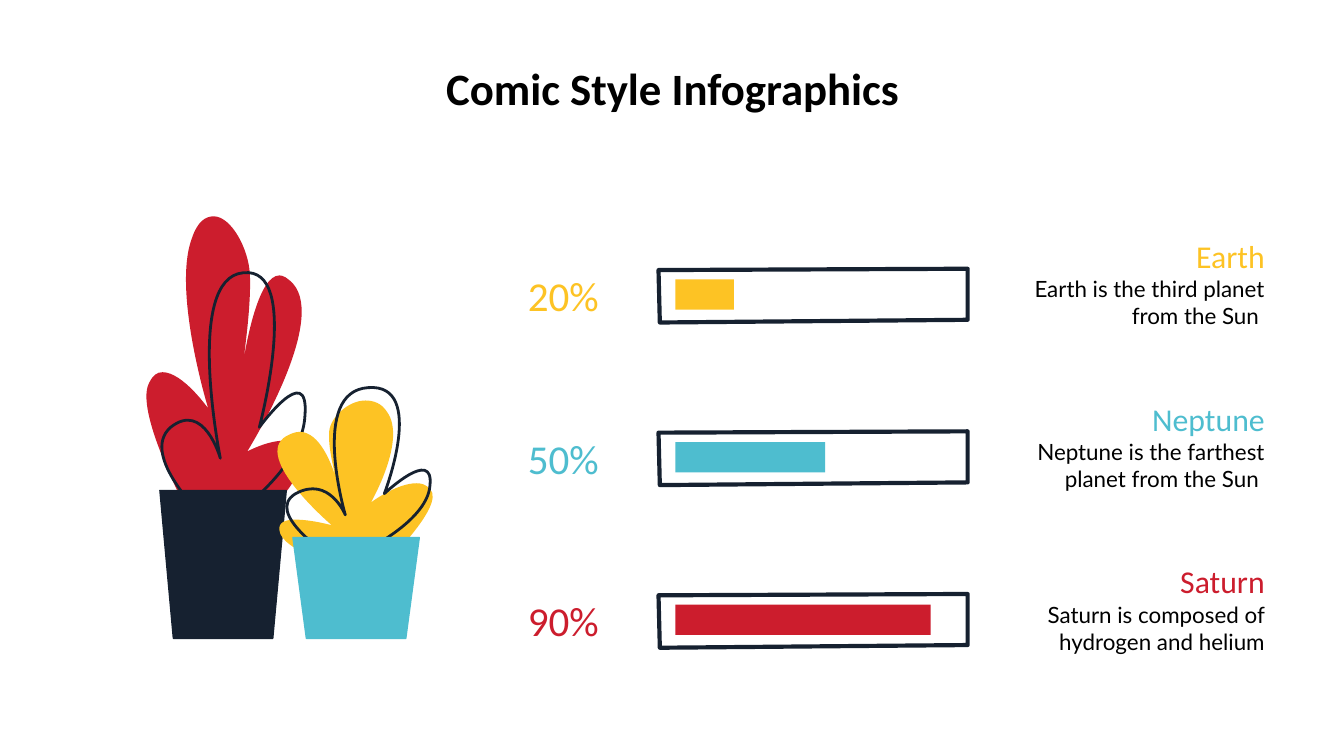
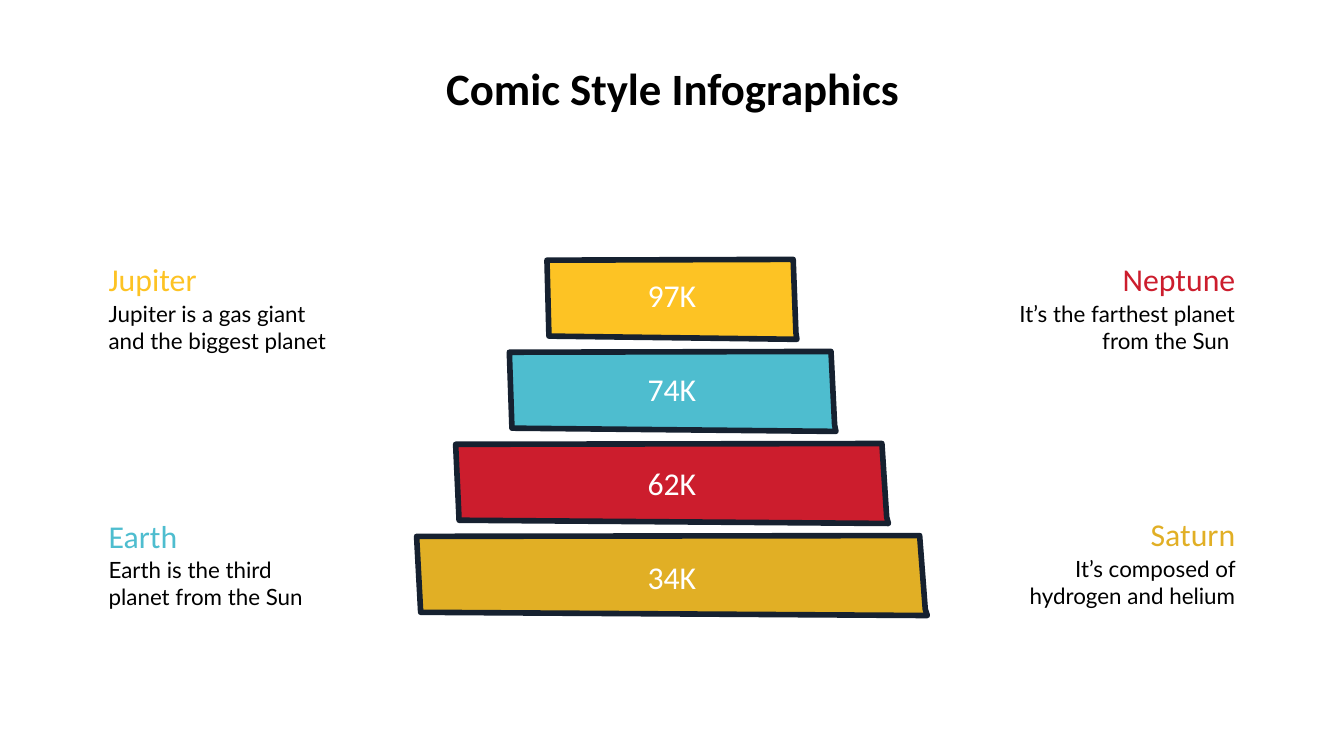
from dataclasses import dataclass

from lxml import etree
from pptx import Presentation
from pptx.dml.color import RGBColor
from pptx.enum.shapes import MSO_SHAPE
from pptx.enum.text import MSO_ANCHOR, MSO_AUTO_SIZE, PP_ALIGN
from pptx.oxml.ns import qn
from pptx.util import Emu, Inches, Pt

LEFT, CENTER, RIGHT = PP_ALIGN.LEFT, PP_ALIGN.CENTER, PP_ALIGN.RIGHT
MIDDLE = MSO_ANCHOR.MIDDLE
NO_FIT = MSO_AUTO_SIZE.NONE
RECTANGLE = MSO_SHAPE.RECTANGLE

CELL = Inches(0.1)
COLS, ROWS = 100, 56.25


@dataclass(frozen=True)
class Theme:
    """Colours, fonts and type sizes of the deck."""
    ink: str = "162130"
    black: str = "000000"
    white: str = "FFFFFF"
    yellow: str = "FDC324"
    gold: str = "E1AF25"
    blue: str = "4EBDCF"
    red: str = "CC1D2D"
    head_font: str = "Calibri"
    body_font: str = "Lato"
    title: int = 24
    percent: int = 22
    heading: int = 17
    body: int = 12


T = Theme()


@dataclass(frozen=True)
class Box:
    """A rectangle measured in columns and rows of the slide grid."""
    x: float
    y: float
    w: float
    h: float

    def inner(self, dx, dy, w, h):
        """Return a box placed from this box's top left corner."""
        return Box(self.x + dx, self.y + dy, w, h)

    def emu(self):
        """Return left, top, width and height as lengths."""
        return [Emu(round(v * CELL)) for v in (self.x, self.y, self.w, self.h)]


@dataclass(frozen=True)
class Outline:
    """A path on its own grid; a curved one lists Bezier points in threes."""
    size: tuple
    points: tuple
    curved: bool = False
    closed: bool = True


FRAME = Outline((230, 40), ((230, 0), (0, 1), (1, 40), (230, 38)))
TIER = Outline((100, 100), ((98.5, 0), (0, 1), (0.8, 96), (100, 100), (99.6, 92)))
LEAVES = Outline((146, 243), (
    (61, 0), (55, 0), (49, 4), (45, 16), (30, 55), (57, 143), (57, 143),
    (57, 143), (38, 116), (23, 116), (19, 116), (16, 118), (13, 124),
    (0, 148), (54, 243), (54, 243), (54, 243), (77, 236), (77, 236),
    (77, 236), (124, 210), (125, 182), (126, 170), (120, 167), (113, 167),
    (101, 167), (86, 175), (86, 175), (86, 175), (146, 79), (120, 50),
    (116, 46), (113, 44), (110, 44), (95, 44), (86, 90), (83, 109),
    (85, 94), (89, 63), (88, 43), (87, 24), (74, 0), (61, 0)), curved=True)
SKETCH = Outline((127, 188), (
    (50, 188), (50, 188), (0, 141), (24, 120), (49, 100), (61, 143), (61, 143),
    (61, 143), (34, 9), (78, 5), (122, 0), (90, 120), (90, 120),
    (90, 120), (127, 69), (124, 111), (122, 153), (67, 188), (67, 188)),
    curved=True, closed=False)
POT = Outline((94, 100), ((0, 0), (10, 100), (84, 100), (94, 0)))


def paint(sp, fill=None, line=None, width=0.75):
    """Set fill and line, leaving out whichever is not given."""
    sp.shadow.inherit = False
    if fill:
        sp.fill.solid()
        sp.fill.fore_color.rgb = RGBColor.from_string(fill)
    else:
        sp.fill.background()
    if line:
        sp.line.color.rgb = RGBColor.from_string(line)
        sp.line.width = Pt(width)
        ln = sp._element.spPr.find(qn("a:ln"))
        etree.SubElement(ln, qn("a:round"))
    else:
        sp.line.fill.background()


def bend(sp):
    """Join each three line steps of a freeform into one Bezier curve."""
    steps = list(sp._element.iter(qn("a:lnTo")))
    for i in range(0, len(steps) - 2, 3):
        curve = etree.Element(qn("a:cubicBezTo"))
        steps[i].addprevious(curve)
        for step in steps[i:i + 3]:
            curve.append(step[0])
            step.getparent().remove(step)


def draw(s, box, outline, mirror=False, **style):
    """Stretch an outline over a box and paint it."""
    left, top, width, height = box.emu()
    cols, rows = outline.size
    points = [(round(left + width * (cols - x if mirror else x) / cols),
               round(top + height * y / rows)) for x, y in outline.points]
    builder = s.shapes.build_freeform(*points[0])
    builder.add_line_segments(points[1:], close=outline.closed)
    sp = builder.convert_to_shape()
    if outline.curved:
        bend(sp)
    paint(sp, **style)


def write(sp, text, size, color, align=LEFT, font=T.head_font, bold=False):
    """Fill a shape with one paragraph of evenly set text."""
    tf = sp.text_frame
    tf.word_wrap = True
    tf.auto_size = NO_FIT
    tf.vertical_anchor = MIDDLE
    tf.margin_left = tf.margin_right = tf.margin_top = tf.margin_bottom = CELL
    p = tf.paragraphs[0]
    p.text = text
    p.alignment = align
    p.font.name, p.font.size, p.font.bold = font, Pt(size), bold
    p.font.color.rgb = RGBColor.from_string(color)


def label(s, box, *args, **kwargs):
    """Add a text box."""
    write(s.shapes.add_textbox(*box.emu()), *args, **kwargs)


def caption(s, box, heading, body, color, align):
    """Set a coloured heading over a short description."""
    label(s, box.inner(0, 0, box.w, 4.7), heading, T.heading, color, align)
    label(s, box.inner(0, box.h - 5.8, box.w, 5.8), body, T.body, T.black,
          align, T.body_font)


def titled_slide(prs, title):
    """Add a title-only slide with its title in place."""
    s = prs.slides.add_slide(prs.slide_layouts[5])
    sp = s.shapes.title
    sp.left, sp.top, sp.width, sp.height = Box(2, 3.4, 96.1, 6.3).emu()
    write(sp, title, T.title, T.black, CENTER, bold=True)
    return s


def gauge(s, box, percent, filled, color, heading, body):
    """Draw one row: percentage, framed bar and caption."""
    frame = box.inner(10.7, 3.3, 23, 4)
    draw(s, frame, FRAME, fill=T.white, line=T.ink, width=2.25)
    bar = s.shapes.add_shape(RECTANGLE, *frame.inner(1.25, 0.8, filled, 2.25).emu())
    paint(bar, fill=color)
    label(s, box.inner(0, 2.9, 9.4, 4.7), percent, T.percent, color)
    caption(s, box.inner(35.7, 0, 21.1, box.h), heading, body, color, RIGHT)


def plant(s, leaves, sketch, pot, leaf_color, pot_color, mirror=False):
    """Draw leaves, their loose ink outline and a pot."""
    draw(s, leaves, LEAVES, mirror, fill=leaf_color)
    draw(s, sketch, SKETCH, line=T.ink, width=1.5)
    draw(s, pot, POT, fill=pot_color, line=pot_color)


def plants(s, box):
    """Place the tall red plant and the small yellow one."""
    plant(s, box.inner(0, 0, 14.6, 24.3), box.inner(0.5, 3.7, 12.7, 18.8),
          box.inner(2.1, 20.4, 9.4, 11), T.red, T.ink)
    plant(s, box.inner(8.9, 13.7, 14.6, 12.9), box.inner(9.8, 12.4, 12.7, 12.9),
          box.inner(12, 23.9, 9.4, 7.5), T.yellow, T.blue, mirror=True)


def gauges_slide(prs):
    """Build the slide with the plants and three gauges."""
    s = titled_slide(prs, "Comic Style Infographics")
    rows = (
        ("20%", 4.35, T.yellow, "Earth", "Earth is the third planet from the Sun "),
        ("50%", 11.15, T.blue, "Neptune", "Neptune is the farthest planet from the Sun "),
        ("90%", 19, T.red, "Saturn", "Saturn is composed of hydrogen and helium"),
    )
    for i, row in enumerate(rows):
        gauge(s, Box(38.3, 16.7 + 12.1 * i, 56.8, 8.7), *row)
    plants(s, Box(9.8, 16.1, 23.5, 31.4))


def pyramid(s, box):
    """Stack four hand-cut tiers, each with its value."""
    tiers = ((9.7, 18.6, T.yellow, "97K"), (6.9, 24.3, T.blue, "74K"),
             (2.9, 32.2, T.red, "62K"), (0, 38, T.gold, "34K"))
    for i, (x, width, color, value) in enumerate(tiers):
        draw(s, box.inner(x, 6.85 * i, width, 5.95), TIER,
             fill=color, line=T.ink, width=3)
        label(s, box.inner(11, 0.3 + 7 * i, 16, 4.7), value, T.heading, T.white, CENTER)


def pyramid_slide(prs):
    """Build the slide with the pyramid and four captions."""
    s = titled_slide(prs, "Comic Style Infographics")
    pyramid(s, Box(31, 19.3, 38, 26.5))
    captions = (
        (7.1, 18.4, "Jupiter", "Jupiter is a gas giant and the biggest planet", T.yellow, LEFT),
        (7.1, 37.5, "Earth", "Earth is the third planet from the Sun", T.blue, LEFT),
        (74, 18.4, "Neptune", "It’s the farthest planet from the Sun ", T.red, RIGHT),
        (74, 37.4, "Saturn", "It’s composed of hydrogen and helium", T.gold, RIGHT),
    )
    for x, y, *content in captions:
        caption(s, Box(x, y, 18.9, 8.8), *content)


def main():
    """Build and save the deck."""
    prs = Presentation()
    prs.slide_width, prs.slide_height = Box(0, 0, COLS, ROWS).emu()[2:]
    gauges_slide(prs)
    pyramid_slide(prs)
    prs.save("out.pptx")


if __name__ == "__main__":
    main()
